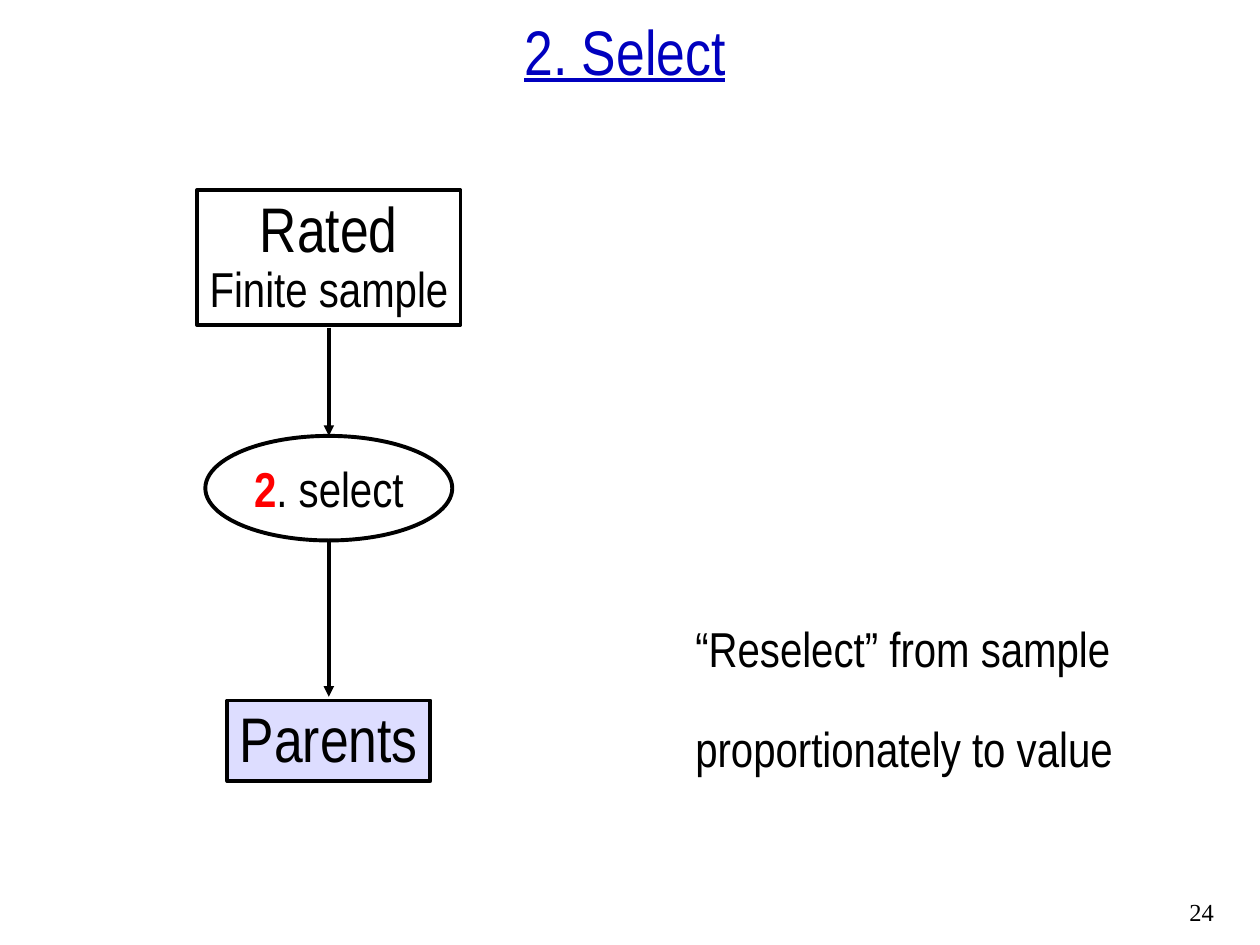
from lxml.etree import SubElement
from pptx import Presentation
from pptx.dml.color import RGBColor
from pptx.enum.shapes import MSO_CONNECTOR, MSO_SHAPE
from pptx.enum.text import MSO_ANCHOR, MSO_AUTO_SIZE, PP_ALIGN
from pptx.oxml.ns import qn
from pptx.util import Inches, Pt

BLACK = RGBColor(0, 0, 0)
WHITE = RGBColor(0xFF, 0xFF, 0xFF)
RED = RGBColor(0xFF, 0, 0)
TITLE_BLUE = RGBColor(0, 0, 0xBF)
LAVENDER = RGBColor(0xDD, 0xDD, 0xFF)

FLOW_X = 2.61
LARGE, MEDIUM, SMALL = 36, 28, 14


class FlowSlide:
    """Holds the flow chart's style and its slide."""

    font = "Arial Narrow"
    outline = 2.25
    arrow_width = 2

    def __init__(self, slide):
        """Keep the slide to draw on."""
        self.slide = slide

    def add_run(self, paragraph, text, size, color=BLACK, font=None, bold=False, underline=False):
        """Add one styled run to a paragraph."""
        run = paragraph.add_run()
        run.text = text
        run.font.name = font or self.font
        run.font.size = Pt(size)
        run.font.color.rgb = color
        run.font.bold = bold
        run.font.underline = underline

    def add_text(self, left, top, width, height, text, size, align=PP_ALIGN.LEFT,
                 anchor=MSO_ANCHOR.TOP, spacing=1.0, before=0, **style):
        """Add a wrapped text box with one paragraph."""
        box = self.slide.shapes.add_textbox(*map(Inches, (left, top, width, height)))
        frame = box.text_frame
        frame.word_wrap = True
        frame.vertical_anchor = anchor
        paragraph = frame.paragraphs[0]
        paragraph.alignment = align
        paragraph.line_spacing = spacing
        paragraph.space_before = Pt(before)
        self.add_run(paragraph, text, size, **style)

    def add_node(self, kind, top, width, height, lines, fill=None):
        """Add an outlined node centred on the flow; lines pair a size with its runs."""
        node = self.slide.shapes.add_shape(
            kind, *map(Inches, (FLOW_X - width / 2, top, width, height)))
        node.shadow.inherit = False
        if fill is None:
            node.fill.background()
        else:
            node.fill.solid()
            node.fill.fore_color.rgb = fill
        node.line.color.rgb = BLACK
        node.line.width = Pt(self.outline)
        frame = node.text_frame
        frame.word_wrap = False
        frame.auto_size = MSO_AUTO_SIZE.NONE
        frame.vertical_anchor = MSO_ANCHOR.MIDDLE
        frame.margin_left = frame.margin_right = Inches(0.02)
        frame.margin_top, frame.margin_bottom = Inches(0.3), Inches(0.1)
        for index, (size, runs) in enumerate(lines):
            paragraph = frame.add_paragraph() if index else frame.paragraphs[0]
            paragraph.alignment = PP_ALIGN.CENTER
            paragraph.line_spacing = 0.4
            paragraph.space_before = Pt(size * 0.625)
            for text, style in runs:
                self.add_run(paragraph, text, size, **style)

    def add_arrow(self, top, bottom):
        """Add a downward arrow on the flow's axis."""
        arrow = self.slide.shapes.add_connector(
            MSO_CONNECTOR.STRAIGHT, *map(Inches, (FLOW_X, top, FLOW_X, bottom)))
        arrow.line.color.rgb = BLACK
        arrow.line.width = Pt(self.arrow_width)
        SubElement(arrow.line._get_or_add_ln(), qn("a:tailEnd"), type="triangle")
        SubElement(arrow._element.spPr, qn("a:effectLst"))


def main():
    """Build and save the selection slide."""
    deck = Presentation()
    deck.slide_width, deck.slide_height = Inches(10), Inches(7.5)
    flow = FlowSlide(deck.slides.add_slide(deck.slide_layouts[6]))

    flow.add_text(9.34, 7.07, 0.58, 0.33, "24", SMALL, font="Times New Roman")
    flow.add_text(0, 0.21, 9.92, 0.54, "2. Select", LARGE, PP_ALIGN.CENTER,
                  MSO_ANCHOR.BOTTOM, color=TITLE_BLUE, underline=True)

    flow.add_node(MSO_SHAPE.RECTANGLE, 5.56, 1.61, 0.64,
                  [(LARGE, [("Parents", {})])], LAVENDER)
    for top, bottom in ((2.6, 3.46), (4.29, 5.53)):
        flow.add_arrow(top, bottom)
    flow.add_node(MSO_SHAPE.RECTANGLE, 1.51, 2.09, 1.07,
                  [(LARGE, [("Rated", {})]), (MEDIUM, [("Finite sample", {})])], WHITE)
    flow.add_node(MSO_SHAPE.OVAL, 3.46, 1.96, 0.83,
                  [(MEDIUM, [("2", {"color": RED, "bold": True}), (". select", {})])])

    flow.add_text(5.42, 4.53, 3.75, 1.69,
                  "\u201cReselect\u201d from sample proportionately to value",
                  MEDIUM, spacing=1.7, before=17.5)
    deck.save("out.pptx")


main()
